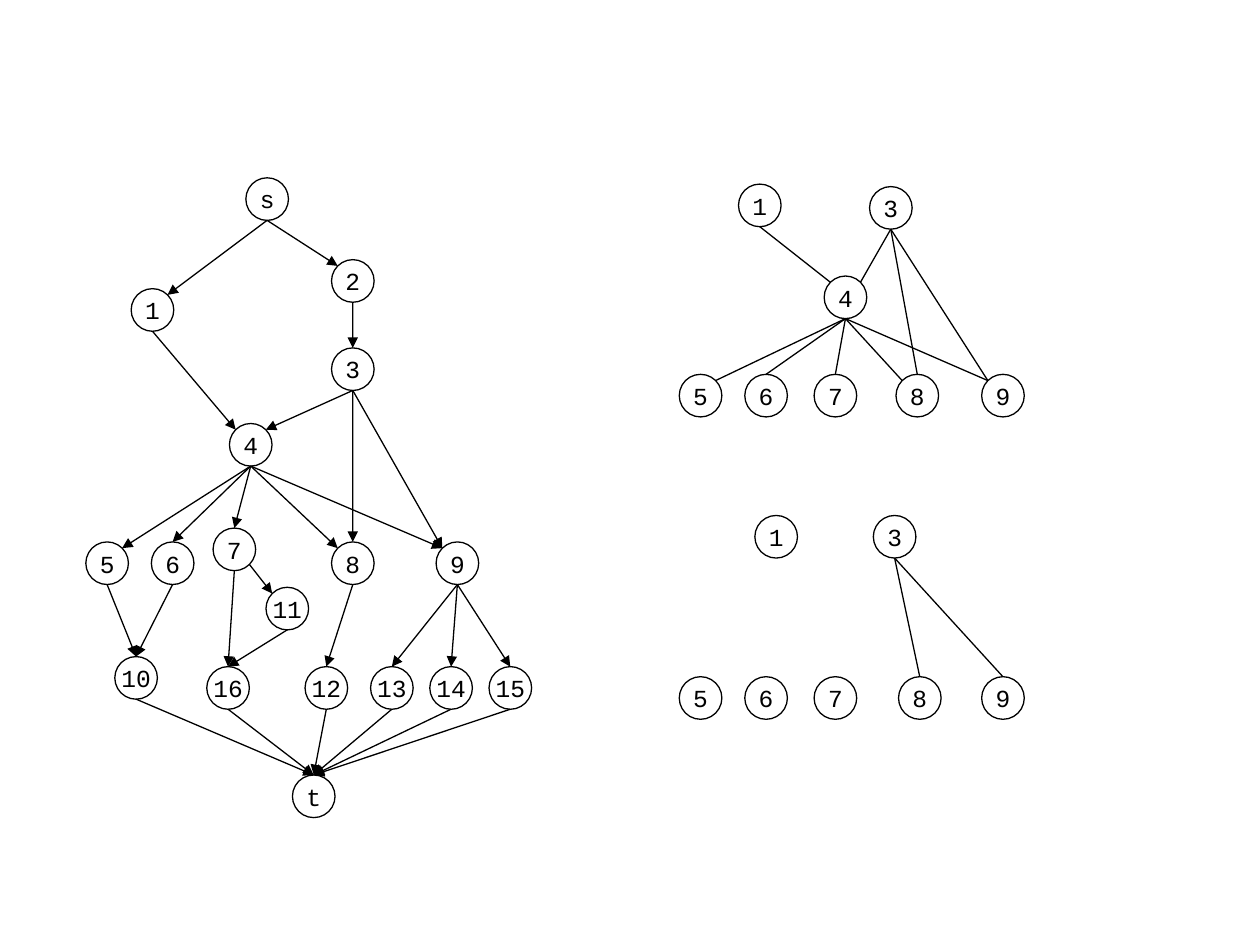
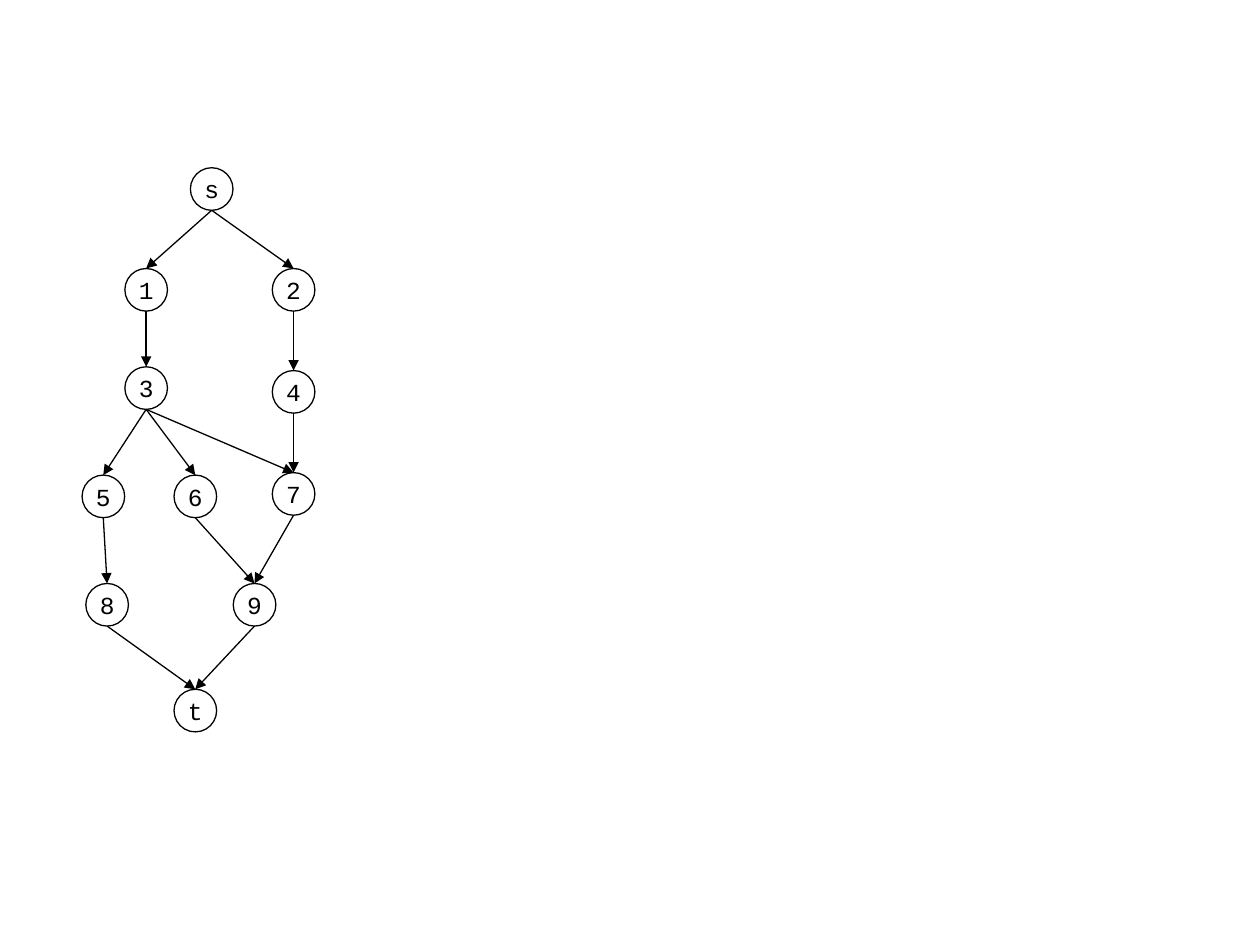
from math import cos, radians, sin

from lxml.etree import SubElement
from pptx import Presentation
from pptx.dml.color import RGBColor
from pptx.enum.shapes import MSO_CONNECTOR, MSO_SHAPE
from pptx.enum.text import MSO_ANCHOR, PP_ALIGN
from pptx.oxml.ns import qn
from pptx.util import Inches, Pt

COLORS = {"ink": "000000", "paper": "FFFFFF"}
FONT = "Courier New"
PORT_ANGLES = {"N": -90, "NE": -45, "NW": -135, "S": 90, "SE": 45}

deck = Presentation()
deck.slide_width, deck.slide_height = Inches(10), Inches(7.5)
COLUMN = deck.slide_width / 100
ROW = deck.slide_height / 75
DIAMETER = 3.38

flow_graph = {
    "rows": {
        15.8: {"s": 21.2},
        22.3: {"2": 28},
        24.6: {"1": 12.1},
        29.3: {"3": 28},
        35.3: {"4": 19.9},
        43.6: {"7": 18.6},
        44.7: {"5": 8.5, "6": 13.7, "8": 28, "9": 36.3},
        48.3: {"11": 22.8},
        53.8: {"10": 10.8},
        54.6: {"16": 18.1, "12": 25.9, "13": 31.1, "14": 35.8, "15": 40.5},
        63.2: {"t": 24.9},
    },
    "edges": {
        ("S", "N"): "2-3 3-8 4-6 4-7 5-10 6-10 7-16 11-16 8-12 9-13 9-14 9-15 "
                    "10-t 16-t 12-t 13-t 14-t 15-t",
        ("S", "NE"): "s-1 3-4 4-5",
        ("S", "NW"): "s-2 1-4 3-9 4-8 4-9",
        ("SE", "NW"): "7-11",
    },
    "directed": True,
}
conflict_graph = {
    "rows": {
        16.3: {"1": 60.3},
        16.5: {"3": 70.7},
        23.6: {"4": 67.1},
        31.4: {"5": 55.6, "6": 60.8, "7": 66.3, "8": 72.8, "9": 79.6},
    },
    "edges": {
        ("S", "N"): "3-8 4-6 4-7",
        ("S", "NE"): "3-4 4-5",
        ("S", "NW"): "1-4 3-9 4-8 4-9",
    },
    "directed": False,
}
reduced_graph = {
    "rows": {
        42.6: {"1": 61.6, "3": 71},
        55.4: {"5": 55.6, "6": 60.8, "7": 66.3, "8": 73, "9": 79.6},
    },
    "edges": {("S", "N"): "3-8 3-9"},
    "directed": False,
}
small_flow_graph = {
    "rows": {
        15: {"s": 16.8},
        23: {"1": 11.6, "2": 23.3},
        30.8: {"3": 11.6},
        31.1: {"4": 23.3},
        39.2: {"7": 23.3},
        39.4: {"5": 8.2, "6": 15.5},
        48: {"8": 8.5, "9": 20.2},
        56.4: {"t": 15.5},
    },
    "edges": {("S", "N"): "s-1 s-2 1-3 2-4 3-5 3-6 3-7 4-7 5-8 6-9 7-9 8-t 9-t"},
    "directed": True,
}


def write(box, text, size=14, color="ink", align=PP_ALIGN.CENTER):
    frame = box.text_frame
    frame.word_wrap = False
    frame.vertical_anchor = MSO_ANCHOR.MIDDLE
    frame.margin_left = frame.margin_right = frame.margin_top = frame.margin_bottom = 0
    para = frame.paragraphs[0]
    para.alignment = align
    span = para.add_run()
    span.text = text
    span.font.name = FONT
    span.font.size = Pt(size)
    span.font.color.rgb = RGBColor.from_string(COLORS[color])


def port_position(node, port):
    angle = radians(PORT_ANGLES[port])
    x = node.left + node.width / 2 * (1 + cos(angle))
    y = node.top + node.height / 2 * (1 + sin(angle))
    return round(x), round(y)


for graphs in [[flow_graph, conflict_graph, reduced_graph], [small_flow_graph]]:
    page = deck.slides.add_slide(deck.slide_layouts[6])
    page.background.fill.solid()
    page.background.fill.fore_color.rgb = RGBColor.from_string(COLORS["paper"])
    for graph in graphs:
        nodes = {}
        for row, columns in graph["rows"].items():
            for name, column in columns.items():
                node = page.shapes.add_shape(
                    MSO_SHAPE.OVAL,
                    round((column - DIAMETER / 2) * COLUMN),
                    round((row - DIAMETER / 2) * ROW),
                    round(DIAMETER * COLUMN),
                    round(DIAMETER * ROW),
                )
                node.shadow.inherit = False
                node.fill.background()
                node.line.color.rgb = RGBColor.from_string(COLORS["ink"])
                node.line.width = Pt(0.75)
                write(node, name)
                nodes[name] = node

        for (start_port, end_port), pairs in graph["edges"].items():
            for pair in pairs.split():
                start, end = pair.split("-")
                edge = page.shapes.add_connector(
                    MSO_CONNECTOR.STRAIGHT,
                    *port_position(nodes[start], start_port),
                    *port_position(nodes[end], end_port),
                )
                if end_port == "N":
                    edge.end_connect(nodes[end], 0)
                edge.line.color.rgb = RGBColor.from_string(COLORS["ink"])
                edge.line.width = Pt(0.75)
                if graph["directed"]:
                    SubElement(edge.line._get_or_add_ln(), qn("a:tailEnd"), type="triangle")
                SubElement(edge._element.spPr, qn("a:effectLst"))

deck.save("out.pptx")
